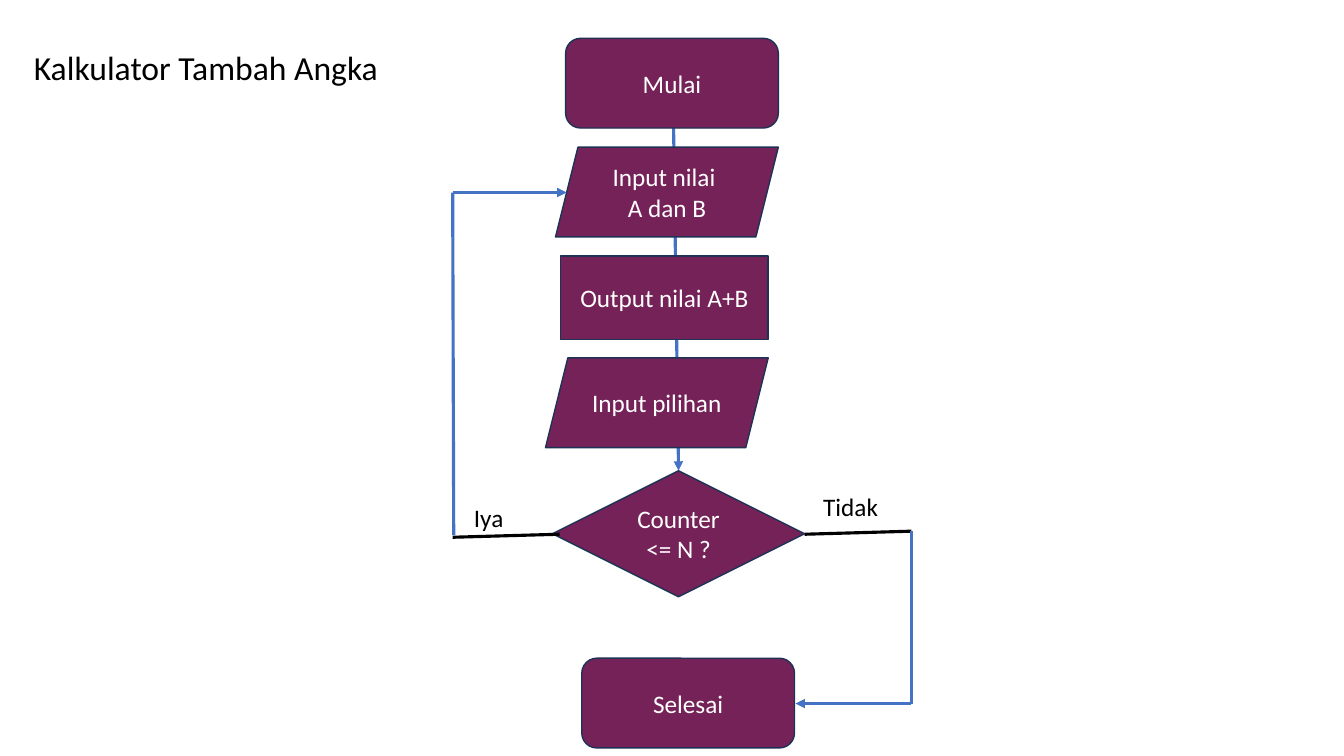
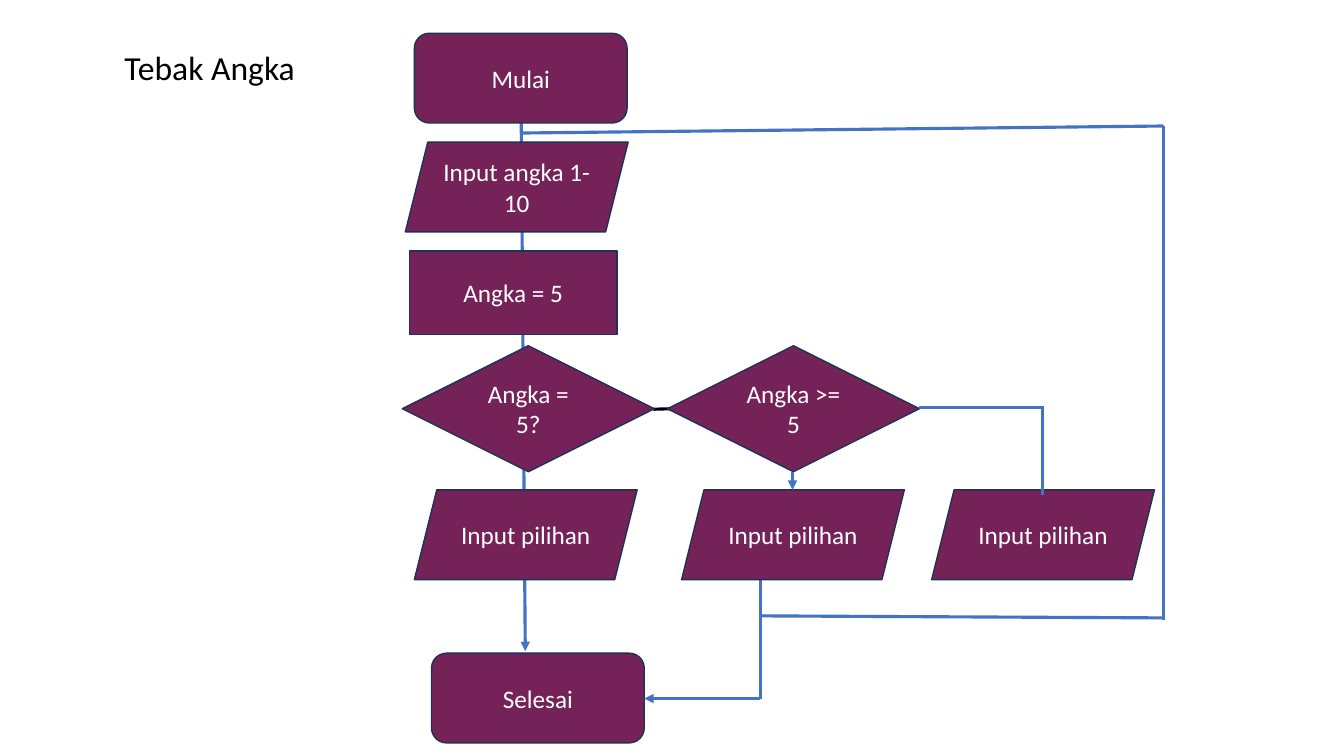
from pptx import Presentation
from pptx.dml.color import RGBColor
from pptx.enum.shapes import MSO_CONNECTOR, MSO_SHAPE
from pptx.enum.text import MSO_ANCHOR, MSO_AUTO_SIZE, PP_ALIGN
from pptx.oxml.ns import qn
from pptx.util import Inches, Pt
from lxml import etree

STRAIGHT = MSO_CONNECTOR.STRAIGHT
CENTER = PP_ALIGN.CENTER
COLORS = {"plum": "742257", "edge": "1E3256", "blue": "4472C4",
          "black": "000000", "white": "FFFFFF"}
RGB = {name: RGBColor.from_string(code) for name, code in COLORS.items()}

# Node kinds: preset shape, width, height
KINDS = {
    "end": (MSO_SHAPE.ROUNDED_RECTANGLE, 2.11, 0.89),
    "io": (MSO_SHAPE.PARALLELOGRAM, 2.21, 0.89),
    "step": (MSO_SHAPE.RECTANGLE, 2.06, 0.83),
    "test": (MSO_SHAPE.DIAMOND, 2.5, 1.25),
}

# Nodes: kind, left, top, text
# Lines: x1, y1, x2, y2, colour, arrow; "under" lie behind the nodes
CHARTS = [
    {
        "title": "Kalkulator Tambah Angka ",
        "under": [(6.67, 0.51, 6.73, 4.67, "blue", True)],
        "nodes": [
            ("end", 5.61, 0.38, "Mulai"),
            ("io", 5.51, 1.46, "Input nilai \nA dan B"),
            ("step", 5.56, 2.54, "Output nilai A+B"),
            ("io", 5.41, 3.55, "Input pilihan"),
            ("test", 5.48, 4.67, "Counter <= N ?"),
            ("end", 5.77, 6.53, "Selesai"),
        ],
        "over": [
            (7.98, 5.3, 9.04, 5.27, "black", False),
            (9.04, 5.27, 9.04, 6.98, "blue", False),
            (9.04, 6.98, 7.89, 6.98, "blue", True),
            (4.49, 5.33, 5.55, 5.3, "black", False),
            (4.49, 1.91, 4.5, 5.31, "blue", False),
            (4.49, 1.91, 5.62, 1.91, "blue", True),
        ],
        "labels": [(5.13, 4.83, "Tidak "), (1.54, 4.93, "Iya ")],
    },
    {
        "title": "Tebak Angka",
        "under": [
            (5.17, 1.22, 5.21, 6.46, "blue", True),
            (6.48, 4.06, 7.54, 4.03, "black", False),
            (7.54, 5.22, 7.54, 6.93, "blue", False),
        ],
        "nodes": [
            ("end", 4.11, 0.33, "Mulai"),
            ("io", 4.02, 1.41, "Input angka 1-10"),
            ("step", 4.06, 2.49, "Angka = 5"),
            ("test", 3.99, 3.43, "Angka = 5?"),
            ("test", 6.62, 3.43, "Angka >= 5"),
            ("io", 4.11, 4.86, "Input pilihan"),
            ("io", 6.76, 4.86, "Input pilihan"),
            ("io", 9.24, 4.86, "Input pilihan"),
            ("end", 4.28, 6.48, "Selesai"),
        ],
        "over": [
            (7.54, 6.93, 6.39, 6.93, "blue", True),
            (11.54, 1.25, 11.54, 6.15, "blue", False),
            (5.17, 1.32, 11.54, 1.25, "blue", False),
            (7.54, 6.11, 11.54, 6.13, "blue", False),
            (7.86, 4.68, 7.86, 4.86, "blue", True),
            (9.11, 4.04, 10.34, 4.04, "blue", False),
            (10.34, 4.03, 10.34, 4.91, "blue", False),
        ],
        "labels": [],
    },
]


def write(shape, text, size, color):
    frame = shape.text_frame
    frame.word_wrap = True
    frame.text = text
    for para in frame.paragraphs:
        para.alignment = CENTER
        para.font.name = "Calibri"
        para.font.size = Pt(size)
        para.font.color.rgb = RGB[color]
    return frame


def draw(slide, lines):
    for x1, y1, x2, y2, color, arrow in lines:
        link = slide.shapes.add_connector(
            STRAIGHT, Inches(x1), Inches(y1), Inches(x2), Inches(y2))
        link.line.color.rgb = RGB[color]
        link.line.width = Pt(2.25)
        if arrow:
            tail = etree.SubElement(link.line._get_or_add_ln(), qn("a:tailEnd"))
            tail.set("type", "triangle")
        etree.SubElement(link._element.spPr, qn("a:effectLst"))


deck = Presentation()
deck.slide_width, deck.slide_height = Inches(13.33), Inches(7.5)

for chart in CHARTS:
    slide = deck.slides.add_slide(deck.slide_layouts[6])
    draw(slide, chart["under"])

    # Flowchart nodes
    for kind, left, top, text in chart["nodes"]:
        preset, width, height = KINDS[kind]
        node = slide.shapes.add_shape(
            preset, Inches(left), Inches(top), Inches(width), Inches(height))
        node.shadow.inherit = False
        node.fill.solid()
        node.fill.fore_color.rgb = RGB["plum"]
        node.line.color.rgb = RGB["edge"]
        node.line.width = Pt(1)
        write(node, text, 18, "white").vertical_anchor = MSO_ANCHOR.MIDDLE

    draw(slide, chart["over"])

    # Title
    box = slide.shapes.add_textbox(
        Inches(0.18), Inches(0.46), Inches(3.8), Inches(0.63))
    head = write(box, chart["title"], 24, "black").paragraphs[0]
    head.line_spacing = 0.9
    head.space_before = Pt(10)

    # Branch labels
    for left, top, text in chart["labels"]:
        box = slide.shapes.add_textbox(
            Inches(left), Inches(top), Inches(6.67), Inches(0.4))
        frame = write(box, text, 18, "black")
        frame.auto_size = MSO_AUTO_SIZE.SHAPE_TO_FIT_TEXT

deck.save("out.pptx")
